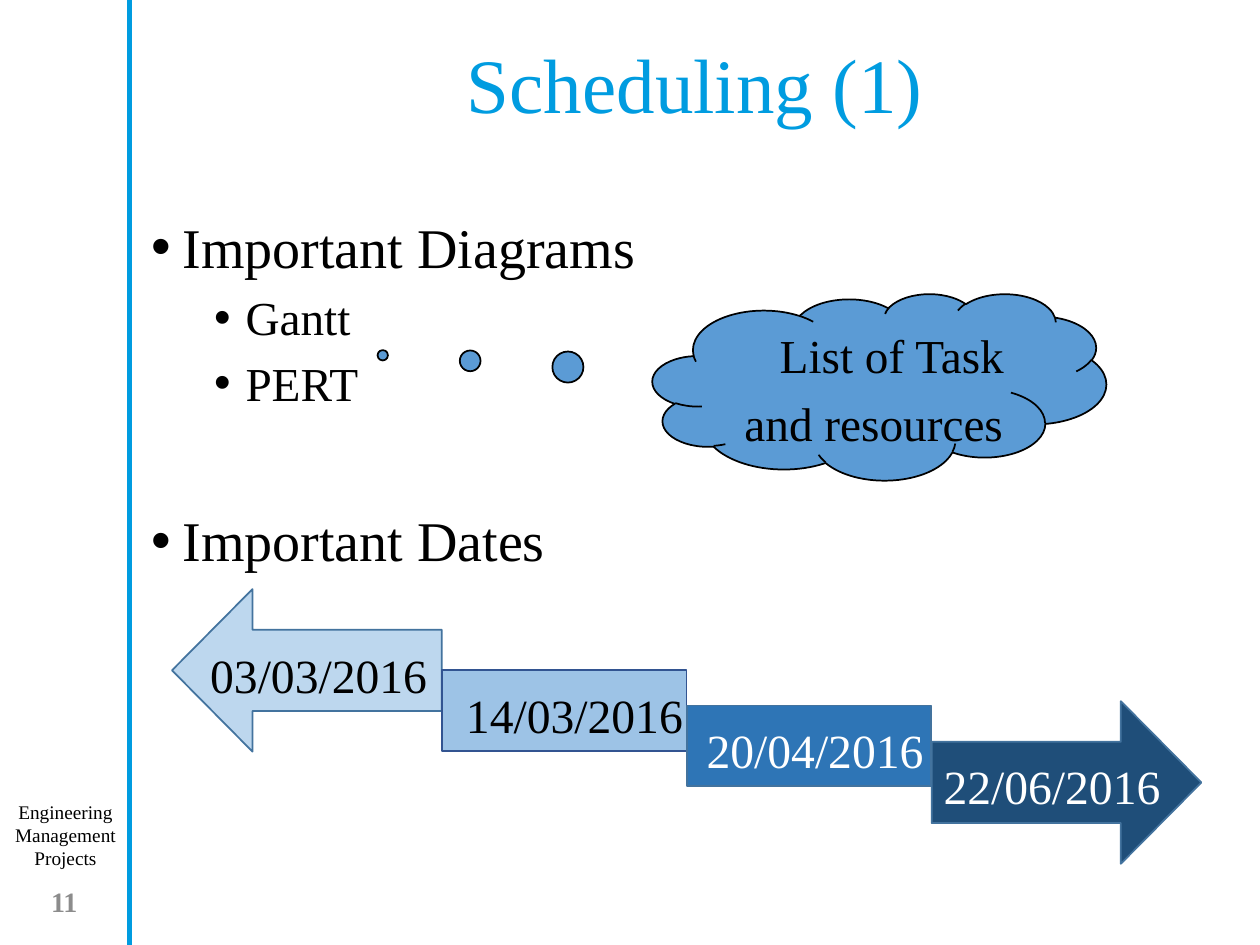
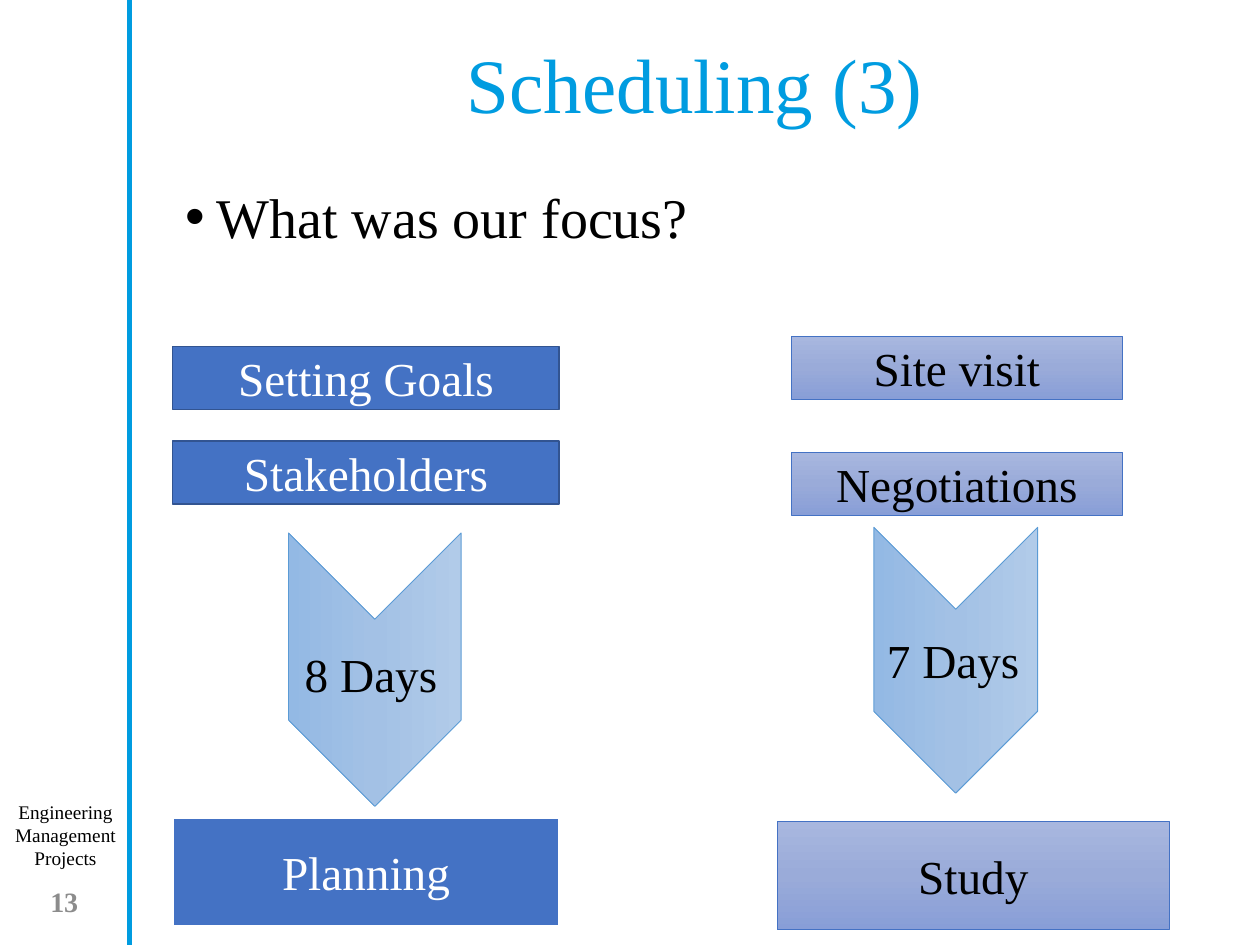
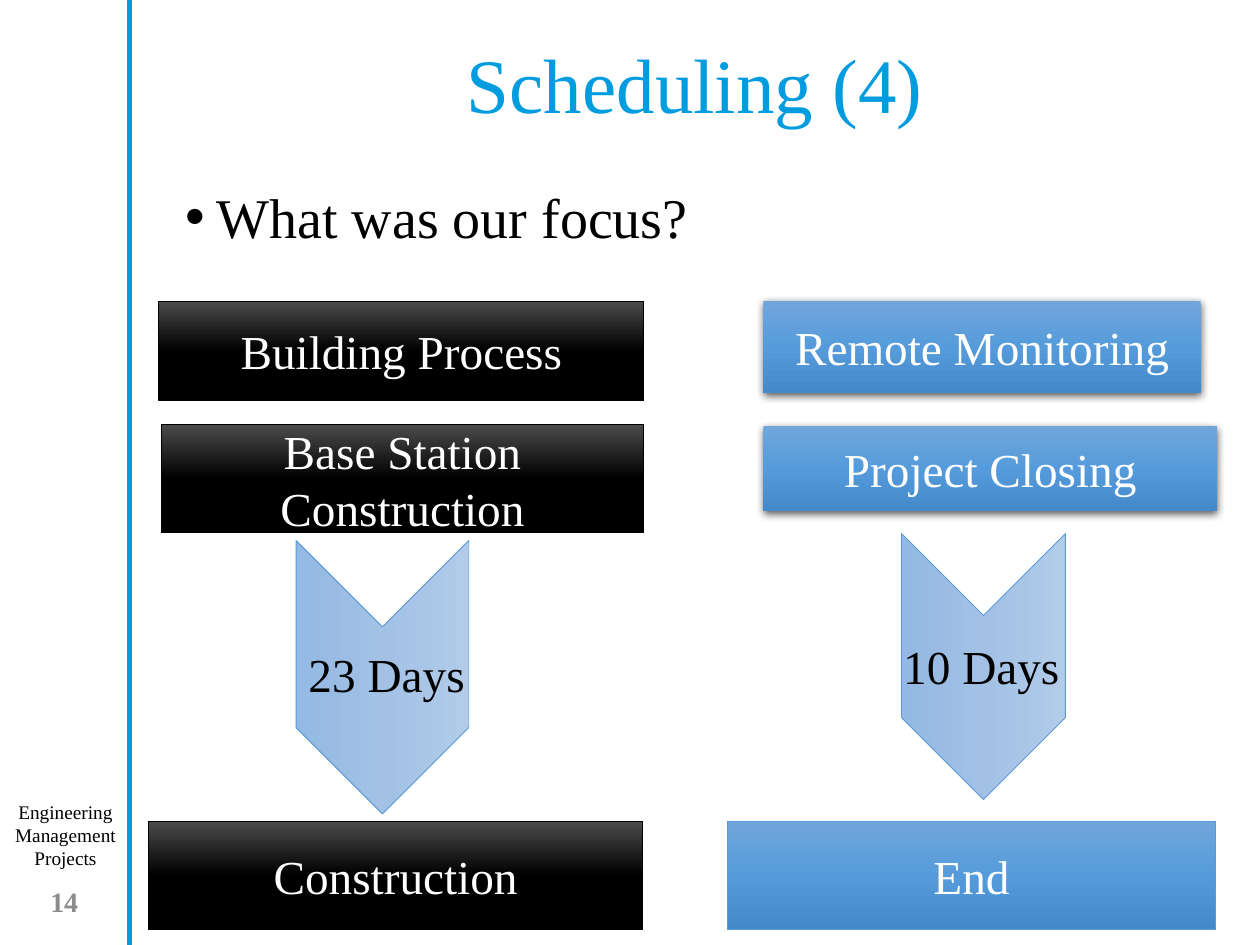
"""Build three scheduling slides with a shared side band, title and footer."""
from lxml.etree import SubElement
from pptx import Presentation
from pptx.dml.color import RGBColor
from pptx.enum.shapes import MSO_CONNECTOR, MSO_SHAPE
from pptx.enum.text import MSO_ANCHOR, PP_ALIGN
from pptx.oxml.ns import qn
from pptx.util import Inches, Pt

FONT = "Times New Roman"
SKY, BLACK, WHITE, GRAY = "009CE0", "000000", "FFFFFF", "8C8C8C"
BLUE, NAVY, STEEL, AZURE = "4472C4", "325491", "43739E", "5B9BD5"
LILAC = ("A8B7DF", "9AABD9", "889ED7")
PALE = ("B1CBE9", "A3C1E5", "93B9E4")
DARK = ("4B4B4B", "000000", "000000")
BRIGHT = ("71A6DB", "559BDB", "448ACA")
RECT, DOWN, CHEVRON = MSO_SHAPE.RECTANGLE, MSO_SHAPE.DOWN_ARROW, MSO_SHAPE.CHEVRON
hue = RGBColor.from_string


def draw(page, kind, at, fill=None, edge=None, width=1, turn=0):
    box = [Inches(n) for n in at]
    if kind is None:
        shape = page.shapes.add_textbox(*box)
    else:
        shape = page.shapes.add_shape(kind, *box)
        shape.shadow.inherit = False
        shape.rotation = turn
        shape.text_frame.vertical_anchor = MSO_ANCHOR.MIDDLE
        if isinstance(fill, tuple):
            shape.fill.gradient()
            shape.fill.gradient_angle = 270
            stops = shape._element.spPr.find(qn("a:gradFill")).find(qn("a:gsLst"))
            stops.clear()
            for pos, tone in zip((0, 50000, 100000), fill):
                stop = SubElement(stops, qn("a:gs"), pos=str(pos))
                SubElement(stop, qn("a:srgbClr"), val=tone)
        else:
            shape.fill.solid()
            shape.fill.fore_color.rgb = hue(fill)
        if edge:
            shape.line.color.rgb = hue(edge)
            shape.line.width = Pt(width)
        else:
            shape.line.fill.background()
    shape.text_frame.word_wrap = True
    return shape


def write(shape, text, size=27, ink=BLACK, align=PP_ALIGN.LEFT, bold=False,
          lead=None, before=0, dot=None, indent=0):
    frame = shape.text_frame
    para = frame.paragraphs[0]
    if para.runs:
        para = frame.add_paragraph()
    para.alignment = align
    para.line_spacing = lead
    para.space_before = Pt(before)
    props = para._p.get_or_add_pPr()
    if dot:
        props.set("marL", str(Inches(dot)))
        indent = -0.25
        SubElement(props, qn("a:buFont"), typeface="Arial")
        SubElement(props, qn("a:buChar"), char="•")
    props.set("indent", str(Inches(indent)))
    for i, part in enumerate(text.split("\n")):
        if i:
            para.add_line_break()
        run = para.add_run()
        run.text = part
        run.font.name = FONT
        run.font.size = Pt(size)
        run.font.bold = bold
        run.font.color.rgb = hue(ink)


deck = Presentation()
deck.slide_width, deck.slide_height = Inches(10), Inches(7.5)
MID = PP_ALIGN.CENTER

pages = []
for num, part in ((11, 1), (13, 3), (14, 4)):
    page = deck.slides.add_slide(deck.slide_layouts[6])
    band = page.shapes.add_connector(
        MSO_CONNECTOR.STRAIGHT, Inches(1.03), 0, Inches(1.03), Inches(7.5))
    band.line.color.rgb = hue(SKY)
    band.line.width = Pt(2.75)
    SubElement(band._element.spPr, qn("a:effectLst"))
    write(draw(page, None, (0, 6.3, 1.04, 0.66)),
          "Engineering Management Projects", 11, align=MID)
    count = draw(page, None, (-0.01, 6.95, 1.04, 0.4))
    write(count, str(num), 16, GRAY, MID, True)
    title = draw(page, None, (1.37, 0.24, 8.29, 0.93))
    write(title, f"Scheduling ({part})", 44, SKY, MID, lead=0.9)
    for shape in (count, title):
        shape.text_frame.vertical_anchor = MSO_ANCHOR.MIDDLE
    if part > 1:
        write(draw(page, None, (1.37, 1.29, 4.81, 0.76)),
              "What was our focus?", 32, lead=1.2, before=10, dot=0.25)
    pages.append(page)

dates, goals, works = pages

for left, top, turn, fill in ((1.79, 4.25, 90, "BDD7EE"), (7.82, 5.14, 270, "1F4E79")):
    arrow = draw(dates, DOWN, (left, top, 1.29, 2.14), fill, STEEL, turn=turn)
    arrow.adjustments[0], arrow.adjustments[1] = 0.5, 0.495
draw(dates, RECT, (3.51, 5.32, 1.94, 0.64), "9DC3E6", NAVY)
draw(dates, RECT, (5.45, 5.6, 1.94, 0.64), "2E75B6", STEEL)
write(draw(dates, None, (1.1, 3.86, 4.08, 0.76)),
      "Important Dates", 32, lead=1.2, before=10, dot=0.25)
for left, top, day, ink in (
        (1.57, 5.03, "03/03/2016", BLACK), (7.39, 5.91, "22/06/2016", WHITE),
        (5.51, 5.63, "20/04/2016", WHITE), (3.6, 5.35, "14/03/2016", BLACK)):
    write(draw(dates, None, (left, top, 2.04, 0.76)), day, 27.2, ink, lead=1.1, before=10)
list_box = draw(dates, None, (1.1, 1.53, 4.41, 1.85))
write(list_box, "Important Diagrams", 32, lead=1.2, before=10, dot=0.25)
for name in ("Gantt", "PERT"):
    write(list_box, name, before=5, dot=0.75)
cloud = draw(dates, MSO_SHAPE.CLOUD_CALLOUT, (5.18, 2.33, 3.6, 1.48), AZURE, BLACK)
cloud.adjustments[0], cloud.adjustments[1] = -1.095, -0.169
write(draw(dates, None, (5.81, 2.45, 4.19, 1.36)),
      "List of Task\nand resources", lead=1.2, before=10, indent=0.28)

for page, at, text, fill, edge, width, ink in (
        (goals, (1.37, 2.75, 3.07, 0.5), "Setting Goals", BLUE, NAVY, 1, WHITE),
        (goals, (1.37, 3.5, 3.07, 0.5), "Stakeholders", BLUE, NAVY, 1, WHITE),
        (goals, (6.28, 2.67, 2.63, 0.5), "Site visit", LILAC, BLUE, 0.5, BLACK),
        (goals, (6.28, 3.59, 2.63, 0.5), "Negotiations", LILAC, BLUE, 0.5, BLACK),
        (goals, (1.37, 6.49, 3.07, 0.86), "Planning", BLUE, WHITE, 1.5, WHITE),
        (goals, (6.17, 6.52, 3.11, 0.86), "Study", LILAC, BLUE, 0.5, BLACK),
        (works, (1.18, 6.52, 3.92, 0.86), "Construction", DARK, BLACK, 0.5, WHITE),
        (works, (5.77, 6.52, 3.88, 0.86), "End", BRIGHT, AZURE, 0.5, WHITE),
        (works, (1.28, 3.37, 3.83, 0.86), "Base Station Construction", DARK, BLACK, 0.5, WHITE),
        (works, (1.26, 2.39, 3.85, 0.79), "Building Process", DARK, BLACK, 0.5, WHITE),
        (works, (6.06, 2.39, 3.47, 0.73), "Remote Monitoring", BRIGHT, None, 0, WHITE),
        (works, (6.06, 3.38, 3.6, 0.68), "Project Closing", BRIGHT, None, 0, WHITE)):
    card = draw(page, RECT, at, fill, edge, width)
    write(card, text, ink=ink, align=MID)
    if not edge:
        glow = SubElement(
            card._element.spPr.find(qn("a:effectLst")), qn("a:outerShdw"),
            blurRad=str(Pt(4.5)), dist=str(Pt(1.5)), dir="5400000", algn="ctr", rotWithShape="0")
        tone = SubElement(glow, qn("a:srgbClr"), val=BLACK)
        SubElement(tone, qn("a:alpha"), val="63000")

for page, at, days, spot in (
        (goals, (1.89, 4.63, 2.17, 1.37), 8, (2.32, 5.07, 1.34, 0.56)),
        (goals, (6.53, 4.59, 2.11, 1.3), 7, (6.94, 4.96, 1.34, 0.56)),
        (works, (1.95, 4.69, 2.17, 1.37), 23, (2.35, 5.07, 1.46, 0.56)),
        (works, (6.75, 4.64, 2.11, 1.3), 10, (7.07, 5.01, 1.47, 0.56))):
    draw(page, CHEVRON, at, PALE, AZURE, 0.5, 90)
    write(draw(page, None, spot), f"{days} Days")

deck.save("out.pptx")
